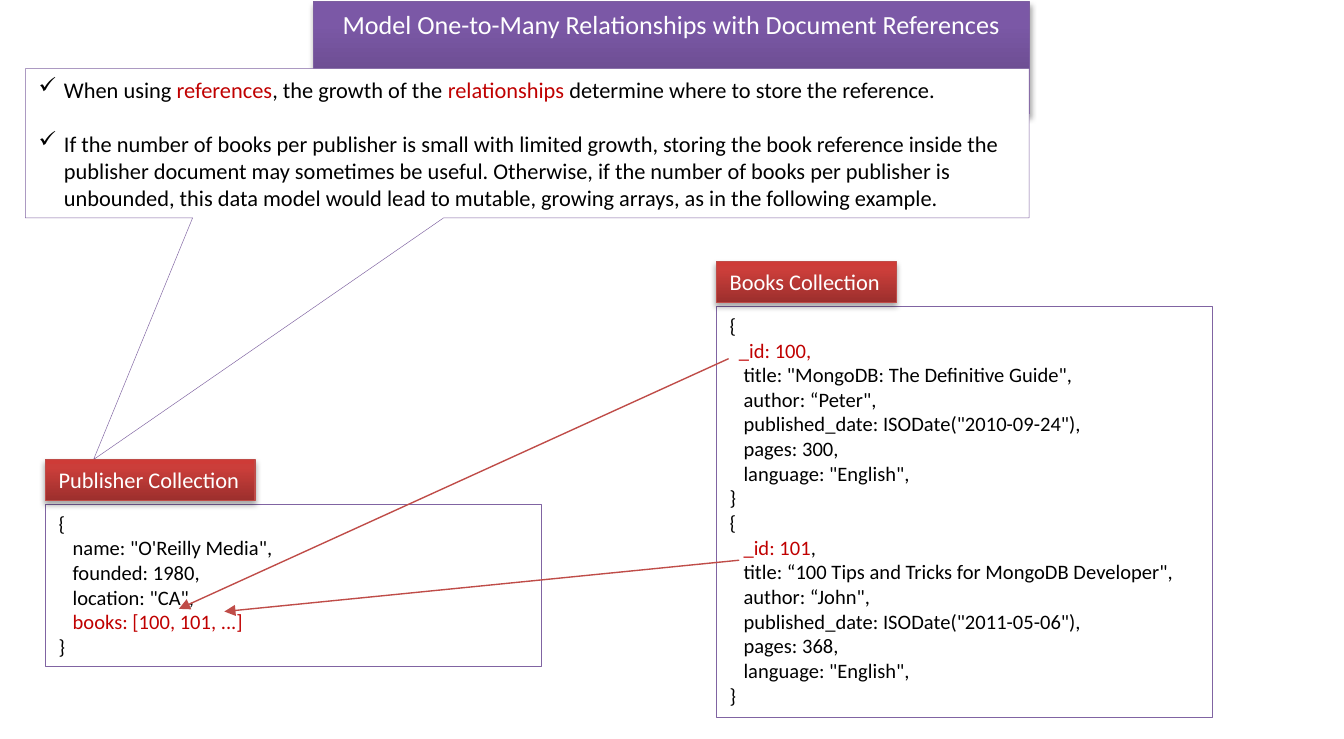
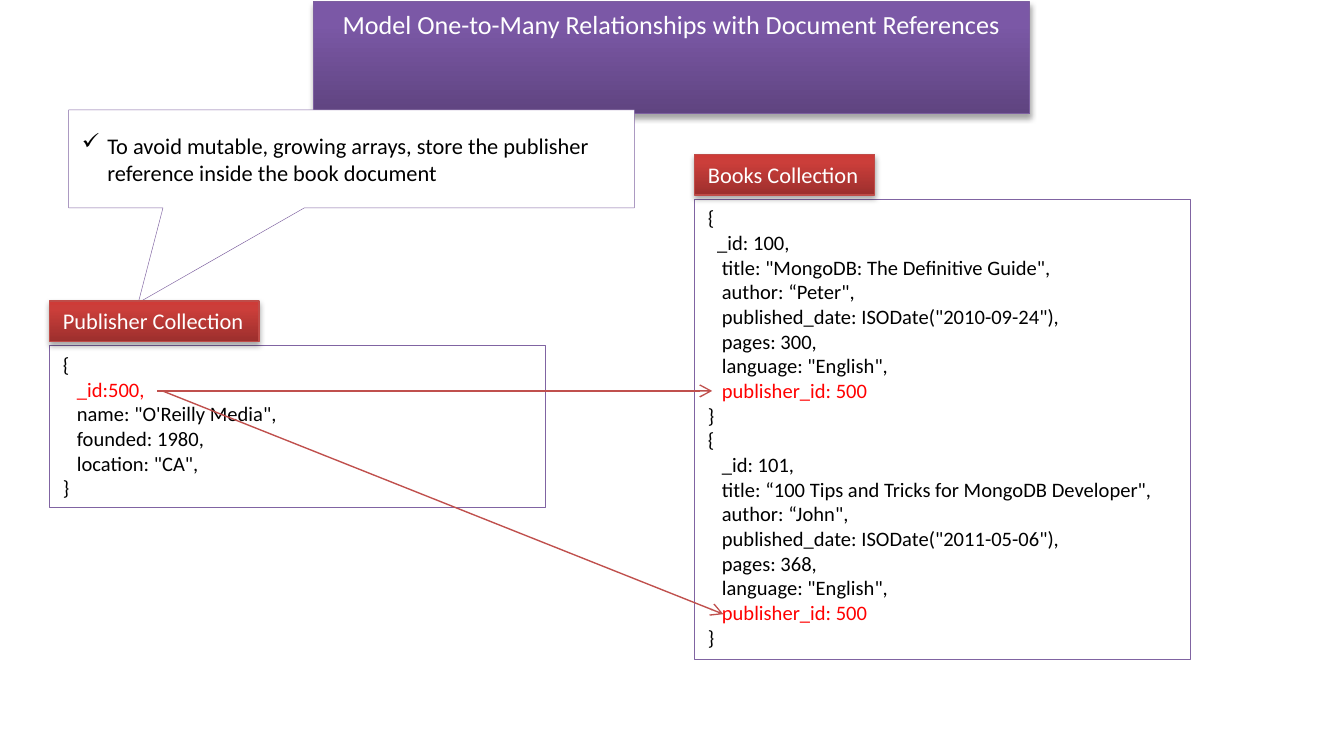
from copy import deepcopy

from lxml import etree
from pptx import Presentation
from pptx.dml.color import RGBColor
from pptx.enum.shapes import MSO_CONNECTOR, MSO_SHAPE
from pptx.enum.text import MSO_ANCHOR, MSO_AUTO_SIZE, PP_ALIGN
from pptx.oxml.ns import qn
from pptx.util import Cm, Pt

RECTANGLE = MSO_SHAPE.RECTANGLE
CALLOUT = MSO_SHAPE.RECTANGULAR_CALLOUT
STRAIGHT = MSO_CONNECTOR.STRAIGHT
TOP, MIDDLE = MSO_ANCHOR.TOP, MSO_ANCHOR.MIDDLE
FIT_SHAPE = MSO_AUTO_SIZE.SHAPE_TO_FIT_TEXT
LEFT, CENTER = PP_ALIGN.LEFT, PP_ALIGN.CENTER

# Shared look
FONT = "Calibri"
BLACK = RGBColor(0x00, 0x00, 0x00)
WHITE = RGBColor(0xFF, 0xFF, 0xFF)
DARK_RED = RGBColor(0xC0, 0x00, 0x00)
BRIGHT_RED = RGBColor(0xFF, 0x00, 0x00)
PURPLE = RGBColor(0x80, 0x64, 0xA2)
PURPLE_EDGE = RGBColor(0x7D, 0x60, 0xA0)
RED_EDGE = RGBColor(0xBF, 0x4C, 0x48)
ARROW_RED = RGBColor(0xC0, 0x50, 0x4D)
PURPLE_BAND = [RGBColor(0x5F, 0x44, 0x80), RGBColor(0x7B, 0x58, 0xA6), RGBColor(0x7C, 0x57, 0xA8)]
RED_BAND = [RGBColor(0x9C, 0x2F, 0x2D), RGBColor(0xCB, 0x3E, 0x3A), RGBColor(0xCE, 0x3B, 0x37)]
BAND_STOPS = [0, 0.8, 1]

TITLE = "Model One-to-Many Relationships with Document References"
LABEL_HEIGHT = 0.77
LABEL_STEP = 0.84
DOCUMENT_WIDTH = 9.37
LINE_HEIGHT = 0.47
DOCUMENT_PADDING = 0.25
BULLET_INDENT = Cm(0.48)

# Document lines; a run is (text, colour)
PUBLISHER_FIELDS = [
    [("   name: \"O'Reilly Media\",", BLACK)],
    [("   founded: 1980,", BLACK)],
    [('   location: "CA",', BLACK)],
]
FIRST_BOOK = [
    [('   title: "MongoDB: The Definitive Guide",', BLACK)],
    [('   author: “Peter",', BLACK)],
    [('   published_date: ISODate("2010-09-24"),', BLACK)],
    [("   pages: 300,", BLACK)],
    [('   language: "English",', BLACK)],
]
SECOND_BOOK = [
    [('   title: “100 Tips and Tricks for MongoDB Developer",', BLACK)],
    [('   author: “John",', BLACK)],
    [('   published_date: ISODate("2011-05-06"),', BLACK)],
    [("   pages: 368,", BLACK)],
    [('   language: "English",', BLACK)],
]
OPEN, CLOSE = [("{", BLACK)], [("}", BLACK)]
PUBLISHER_ID = [("   publisher_id: 500", BRIGHT_RED)]

SLIDES = [
    {
        "callout": (0.48, 1.3, 18.97, 2.82),
        "pointer": (-0.432, 2.12),
        "points": [
            [("When using ", BLACK), ("references", DARK_RED),
             (", the growth of the ", BLACK), ("relationships", DARK_RED),
             (" determine where to store the reference.", BLACK)],
            [("If the number of books per publisher is small with limited growth, "
              "storing the book reference inside the publisher document may sometimes "
              "be useful. Otherwise, if the number of books per publisher is unbounded, "
              "this data model would lead to mutable, growing arrays, as in the "
              "following example.", BLACK)],
        ],
        "collections": [
            ("Publisher Collection", 0.86, 8.69, 3.96,
             [OPEN, *PUBLISHER_FIELDS,
              [("  ", BLACK), (" books: [100, 101, ...]", DARK_RED)], CLOSE]),
            ("Books Collection", 13.54, 4.95, 3.4,
             [OPEN, [("  _id: 100,", DARK_RED)], *FIRST_BOOK, CLOSE,
              OPEN, [("   _id: 101", DARK_RED), (",", BLACK)], *SECOND_BOOK, CLOSE]),
        ],
        "arrows": [(13.77, 6.78, 3.38, 11.51), (13.97, 10.59, 4.24, 11.56)],
        "arrow style": (RED_EDGE, "triangle"),
    },
    {
        "callout": (1.3, 2.08, 10.69, 1.85),
        "pointer": (-0.377, 1.47),
        "points": [
            [("To avoid mutable, growing arrays, store the publisher reference "
              "inside the book document", BLACK)],
        ],
        "collections": [
            ("Publisher Collection", 0.94, 5.69, 3.96,
             [OPEN, [("   ", BLACK), ("_id:500,", BRIGHT_RED)], *PUBLISHER_FIELDS, CLOSE]),
            ("Books Collection", 13.13, 2.92, 3.4,
             [OPEN, [("  _id: 100,", BLACK)], *FIRST_BOOK, PUBLISHER_ID, CLOSE,
              OPEN, [("   _id: 101,", BLACK)], *SECOND_BOOK, PUBLISHER_ID, CLOSE]),
        ],
        "arrows": [(2.97, 7.39, 13.46, 7.39), (3.07, 7.39, 13.67, 11.61)],
        "arrow style": (ARROW_RED, "arrow"),
    },
]


def write_lines(shape, lines, size, align=LEFT, anchor=TOP):
    frame = shape.text_frame
    frame.word_wrap = True
    frame.vertical_anchor = anchor
    for number, runs in enumerate(lines):
        paragraph = frame.add_paragraph() if number else frame.paragraphs[0]
        paragraph.alignment = align
        for text, color in runs:
            run = paragraph.add_run()
            run.text = text
            run.font.name = FONT
            run.font.size = Pt(size)
            run.font.color.rgb = color


def style_box(shape, edge, width, band=None):
    """White box, or a gradient band with a soft shadow below."""
    shape.shadow.inherit = False
    if band:
        shape.fill.gradient()
        shape.fill.gradient_angle = 90
        stops = shape._element.spPr.find(qn("a:gradFill")).find(qn("a:gsLst"))
        stops.append(deepcopy(stops[-1]))
        for stop, position, color in zip(shape.fill.gradient_stops, BAND_STOPS, band):
            stop.position = position
            stop.color.rgb = color
        effects = shape._element.spPr.find(qn("a:effectLst"))
        shadow = etree.SubElement(effects, qn("a:outerShdw"), blurRad="40000",
                                  dist="23000", dir="5400000", rotWithShape="0")
        black = etree.SubElement(shadow, qn("a:srgbClr"), val="000000")
        etree.SubElement(black, qn("a:alpha"), val="35000")
    else:
        shape.fill.solid()
        shape.fill.fore_color.rgb = WHITE
    shape.line.color.rgb = edge
    shape.line.width = Pt(width)


prs = Presentation()
prs.slide_width, prs.slide_height = Cm(25.4), Cm(13.97)
title_only = prs.slide_layouts[5]

for content in SLIDES:
    slide = prs.slides.add_slide(title_only)
    shapes = slide.shapes

    # Title band
    title = shapes.title
    title.left, title.top, title.width, title.height = Cm(5.92), Cm(0.03), Cm(13.54), Cm(0.86)
    style_box(title, PURPLE_EDGE, 0.75, PURPLE_BAND)
    write_lines(title, [[(TITLE, WHITE)]], 14, CENTER)
    title.text_frame.auto_size = FIT_SHAPE

    # Callout with check marks
    callout = shapes.add_shape(CALLOUT, *map(Cm, content["callout"]))
    callout.adjustments[0], callout.adjustments[1] = content["pointer"]
    style_box(callout, PURPLE, 0.25)
    write_lines(callout, content["points"], 12, anchor=MIDDLE)
    for number, point in enumerate(callout.text_frame.paragraphs):
        properties = point._p.get_or_add_pPr()
        properties.set("marL", str(BULLET_INDENT))
        properties.set("indent", str(-BULLET_INDENT))
        etree.SubElement(properties, qn("a:buChar"), char="✓")
        if number:
            point.space_before = Pt(14.6)

    # Collections: document box under its label
    for name, left, top, label_width, lines in content["collections"]:
        document = shapes.add_shape(
            RECTANGLE, Cm(left), Cm(top + LABEL_STEP), Cm(DOCUMENT_WIDTH),
            Cm(len(lines) * LINE_HEIGHT + DOCUMENT_PADDING))
        style_box(document, PURPLE, 0.25)
        write_lines(document, lines, 11)

        label = shapes.add_shape(RECTANGLE, Cm(left), Cm(top), Cm(label_width), Cm(LABEL_HEIGHT))
        style_box(label, RED_EDGE, 0.75, RED_BAND)
        write_lines(label, [[(name, WHITE)]], 12)
        label.text_frame.word_wrap = False
        label.text_frame.auto_size = FIT_SHAPE

    # Reference arrows
    arrow_color, arrow_head = content["arrow style"]
    for ends in content["arrows"]:
        reference = shapes.add_connector(STRAIGHT, *map(Cm, ends))
        reference.line.color.rgb = arrow_color
        reference.line.width = Pt(0.75)
        properties = reference._element.spPr
        etree.SubElement(properties.find(qn("a:ln")), qn("a:tailEnd"), type=arrow_head)
        etree.SubElement(properties, qn("a:effectLst"))

prs.save("out.pptx")
